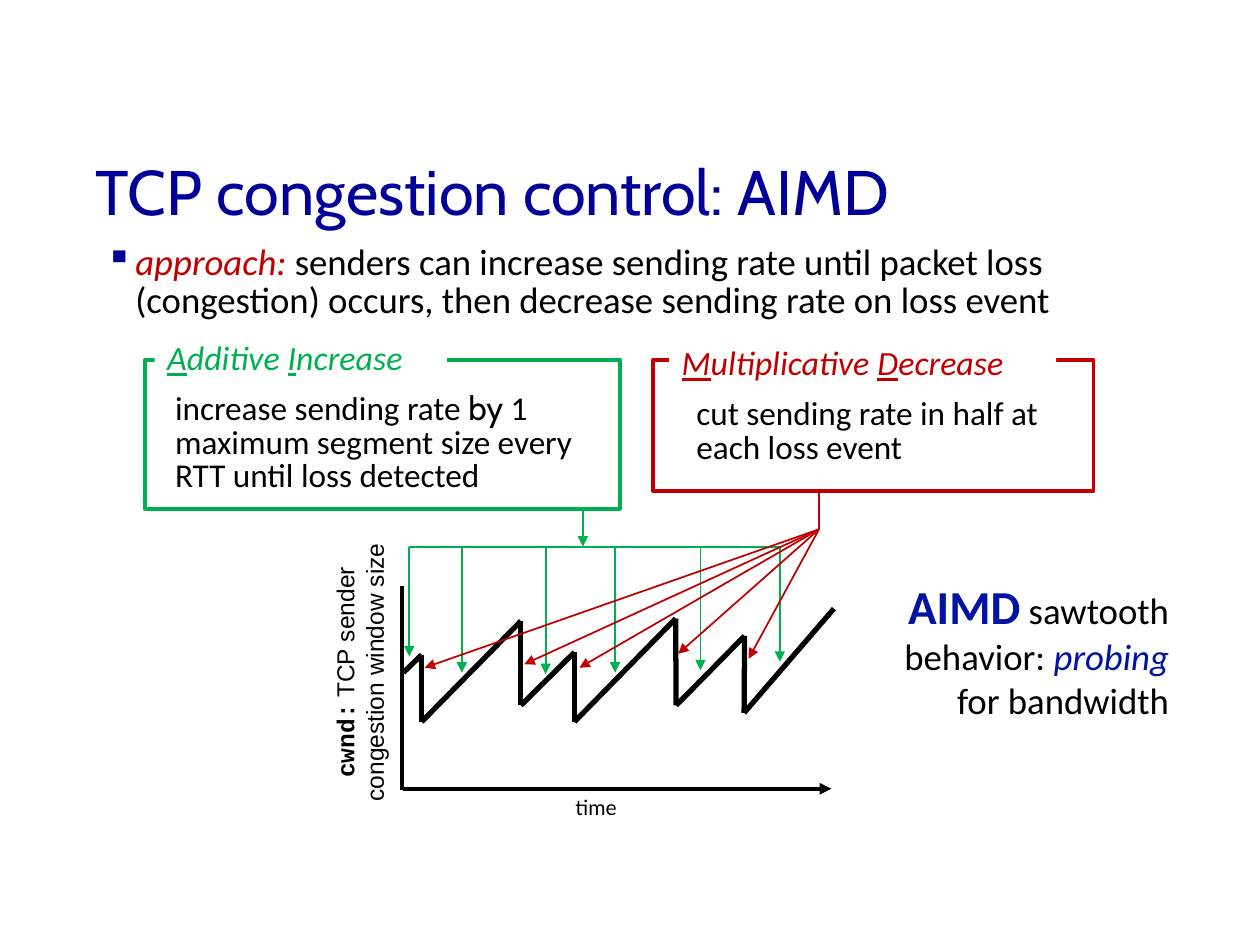
from typing import NamedTuple, Optional

import pptx
import pptx.dml.color
import pptx.enum.shapes
import pptx.enum.text
import pptx.oxml.ns
import pptx.util
from lxml import etree
from pptx.dml.color import RGBColor
from pptx.util import Cm, Pt

NAVY = RGBColor(0x00, 0x00, 0x99)
BLUE = RGBColor(0x00, 0x13, 0xA3)
GREEN = RGBColor(0x00, 0xB0, 0x50)
RED = RGBColor(0xC0, 0x00, 0x00)
BLACK = RGBColor(0x00, 0x00, 0x00)
WHITE = RGBColor(0xFF, 0xFF, 0xFF)

ALIGN = pptx.enum.text.PP_ALIGN
ANCHOR = pptx.enum.text.MSO_ANCHOR


class Area(NamedTuple):
    """Left, top, width and height in centimetres."""
    left: float
    top: float
    width: float
    height: float

    def lengths(self) -> list:
        return [Cm(value) for value in self]


class Point(NamedTuple):
    x: float
    y: float


class Span(NamedTuple):
    """A stretch of text in one style."""
    text: str
    size: float
    color: RGBColor = BLACK
    font: str = "Calibri"
    bold: bool = False
    italic: bool = False
    underline: bool = False


class Rule(NamedTuple):
    """One side of AIMD: a frame, its heading and its explanation."""
    color: RGBColor
    frame: Area
    heading_area: Area
    heading: list
    body_area: Area
    body: list


def add_text(slide, area: Area, paragraphs: list, align=ALIGN.LEFT, spacing: float = 1.0,
             wrap: bool = True, anchor=ANCHOR.TOP, fill: Optional[RGBColor] = None):
    box = slide.shapes.add_textbox(*area.lengths())
    if fill is not None:
        box.fill.solid()
        box.fill.fore_color.rgb = fill
    frame = box.text_frame
    frame.word_wrap = wrap
    frame.vertical_anchor = anchor
    for index, spans in enumerate(paragraphs):
        paragraph = frame.add_paragraph() if index else frame.paragraphs[0]
        paragraph.alignment = align
        paragraph.line_spacing = spacing
        for span in spans:
            run = paragraph.add_run()
            run.text = span.text
            run.font.name = span.font
            run.font.size = Pt(span.size)
            run.font.color.rgb = span.color
            run.font.bold = span.bold
            run.font.italic = span.italic
            run.font.underline = span.underline
    return box


def set_indent(paragraph, left: float, first: float) -> None:
    properties = paragraph._p.get_or_add_pPr()
    properties.set("marL", str(Cm(left)))
    properties.set("indent", str(Cm(first)))


def add_bullet(paragraph, symbol: str, color: RGBColor) -> None:
    qn = pptx.oxml.ns.qn
    properties = paragraph._p.get_or_add_pPr()
    bullet_color = etree.SubElement(properties, qn("a:buClr"))
    etree.SubElement(bullet_color, qn("a:srgbClr"), val=str(color))
    etree.SubElement(properties, qn("a:buChar"), char=symbol)


def add_line(slide, start: Point, end: Point, color: RGBColor, width: float,
             arrow: bool = False) -> None:
    qn = pptx.oxml.ns.qn
    line = slide.shapes.add_connector(
        pptx.enum.shapes.MSO_CONNECTOR.STRAIGHT,
        Cm(start.x), Cm(start.y), Cm(end.x), Cm(end.y))
    line.line.color.rgb = color
    line.line.width = Pt(width)
    if arrow:
        etree.SubElement(line.line._get_or_add_ln(), qn("a:tailEnd"), type="triangle")
    etree.SubElement(line._element.spPr, qn("a:effectLst"))


def add_rule(slide, rule: Rule) -> None:
    frame = slide.shapes.add_shape(
        pptx.enum.shapes.MSO_SHAPE.RECTANGLE, *rule.frame.lengths())
    frame.shadow.inherit = False
    frame.fill.solid()
    frame.fill.fore_color.rgb = WHITE
    frame.line.color.rgb = rule.color
    frame.line.width = Pt(2)
    body = add_text(slide, rule.body_area, [rule.body], spacing=0.85)
    set_indent(body.text_frame.paragraphs[0], 1.27, 0)
    add_text(slide, rule.heading_area, [rule.heading], spacing=0.75, fill=WHITE)


def heading_spans(parts: list, color: RGBColor) -> list:
    """Underline every other part, beginning with the first."""
    return [Span(part, 19.4, color, italic=True, underline=index % 2 == 0)
            for index, part in enumerate(parts)]


RULES = [
    Rule(GREEN, Area(2.92, 7.26, 9.58, 3.0), Area(3.12, 6.86, 5.89, 0.91),
         heading_spans(["A", "dditive ", "I", "ncrease"], GREEN),
         Area(2.01, 7.8, 10.54, 3.02),
         [Span("increase sending rate ", 19), Span("by ", 19, font="Cabin"),
          Span("1 maximum segment size every RTT until loss detected", 19)]),
    Rule(RED, Area(13.16, 7.26, 8.89, 2.64), Area(13.49, 6.96, 7.8, 0.91),
         heading_spans(["M", "ultiplicative ", "D", "ecrease"], RED),
         Area(12.52, 7.9, 9.91, 1.73),
         [Span("cut sending rate in half at each loss event", 19)]),
]

SAWTOOTH = [Point(8.13, 13.56), Point(8.5, 13.2), Point(8.5, 14.55), Point(10.5, 12.52),
            Point(10.5, 14.22), Point(11.58, 13.15), Point(11.58, 14.55),
            Point(13.62, 12.47), Point(13.63, 14.22), Point(15.01, 12.82),
            Point(15.0, 14.37), Point(16.81, 12.27)]
INCREASES = [Point(8.25, 13.23), Point(9.31, 13.56), Point(11.0, 13.59),
             Point(12.4, 13.56), Point(14.12, 13.51), Point(15.72, 13.34)]
INCREASE_BAR = 11.02
DECREASES = [Point(15.09, 13.28), Point(8.56, 13.46), Point(10.57, 13.39),
             Point(11.68, 13.46), Point(13.67, 13.18)]
DECREASE_HUB = Point(16.51, 10.67)


def main() -> None:
    deck = pptx.Presentation()
    deck.slide_width, deck.slide_height = Cm(25.4), Cm(19.05)
    slide = deck.slides.add_slide(deck.slide_layouts[6])

    # Title and approach
    add_text(slide, Area(1.68, 2.92, 23.7, 1.85),
             [[Span("TCP congestion control: AIMD", 36, NAVY, "Cabin")]], anchor=ANCHOR.MIDDLE)
    approach = add_text(
        slide, Area(1.88, 4.83, 21.41, 3.02),
        [[Span("approach: ", 21, RED, italic=True),
          Span("senders can increase sending rate until packet loss (congestion) occurs, "
               "then decrease sending rate on loss event", 21)]], spacing=0.85)
    bullet_line = approach.text_frame.paragraphs[0]
    set_indent(bullet_line, 0.6, -0.6)
    add_bullet(bullet_line, "▪", NAVY)

    # Conclusion beside the chart
    add_text(slide, Area(17.98, 11.51, 5.84, 3.18),
             [[Span("AIMD", 27, BLUE, bold=True), Span(" sawtooth", 21)],
              [Span("behavior: ", 21), Span("probing", 21, BLUE, italic=True)],
              [Span("for bandwidth", 21)]], align=ALIGN.RIGHT, wrap=False)

    # Sawtooth and axes
    for start, end in zip(SAWTOOTH, SAWTOOTH[1:]):
        add_line(slide, start, end, BLACK, 3)
    add_line(slide, Point(8.13, 15.9), Point(16.76, 15.9), BLACK, 2.25, arrow=True)
    add_line(slide, Point(8.1, 11.81), Point(8.1, 15.93), BLACK, 2.25)
    add_text(slide, Area(11.35, 15.9, 1.4, 0.76), [[Span("time", 12, font="Lato")]], wrap=False)

    # The two rules
    for rule in RULES:
        add_rule(slide, rule)

    # Arrows to the rising stretches
    for tip in INCREASES:
        add_line(slide, Point(tip.x, INCREASE_BAR), tip, GREEN, 1, arrow=True)
    add_line(slide, Point(INCREASES[0].x, INCREASE_BAR),
             Point(INCREASES[-1].x, INCREASE_BAR), GREEN, 1)
    add_line(slide, Point(11.75, 10.26), Point(11.75, INCREASE_BAR), GREEN, 1, arrow=True)

    # Arrows to the drops
    for tip in DECREASES:
        add_line(slide, DECREASE_HUB, tip, RED, 1, arrow=True)
    add_line(slide, DECREASE_HUB, Point(DECREASE_HUB.x, 9.92), RED, 1)

    # Vertical axis label
    window_size = add_text(
        slide, Area(4.39, 12.83, 5.72, 1.45),
        [[Span("cwnd:", 14, font="Courier New", bold=True),
          Span(" TCP sender", 14, font="Arial")],
         [Span("congestion window size", 14, font="Arial")]],
        align=ALIGN.CENTER, wrap=False, fill=WHITE)
    window_size.rotation = 270

    deck.save("out.pptx")


if __name__ == "__main__":
    main()
